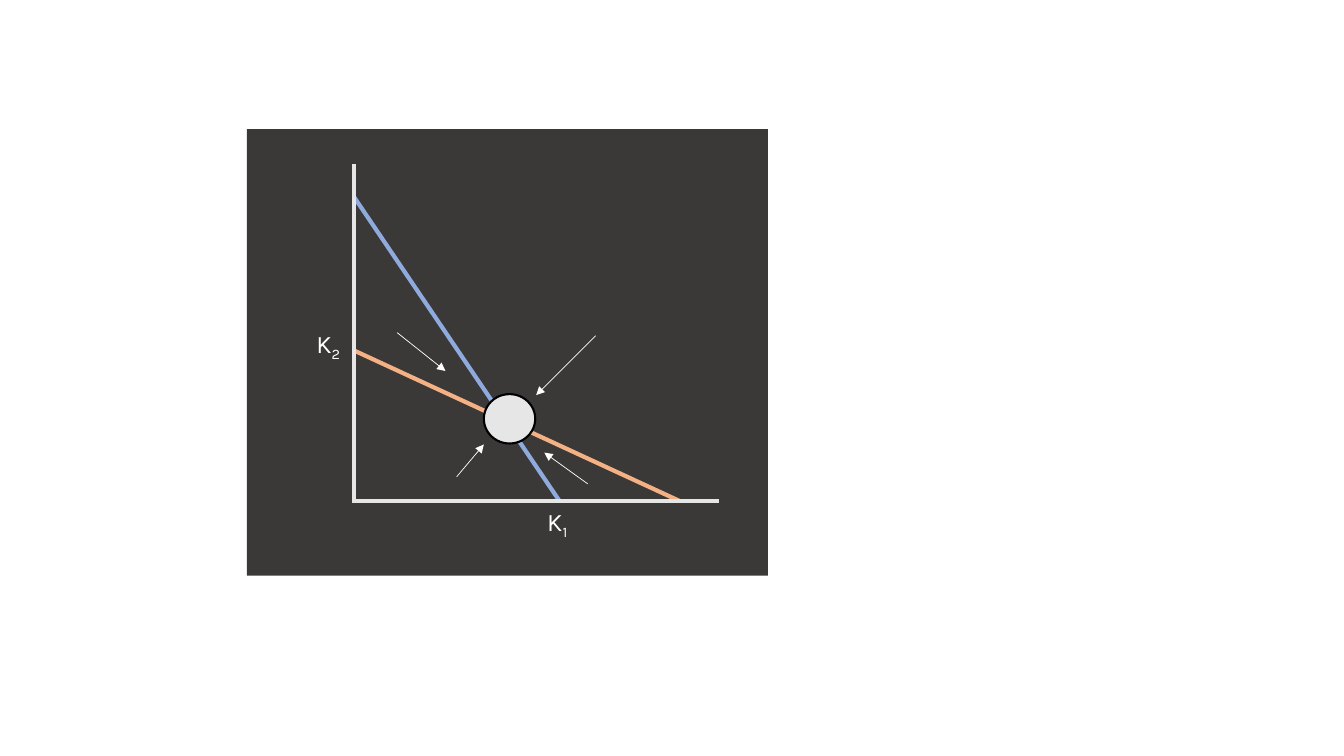
from dataclasses import dataclass

from lxml import etree
from pptx import Presentation
from pptx.dml.color import RGBColor
from pptx.enum.shapes import MSO_CONNECTOR, MSO_SHAPE
from pptx.enum.text import MSO_AUTO_SIZE
from pptx.oxml.ns import qn
from pptx.shapes.autoshape import Shape
from pptx.shapes.shapetree import GroupShapes
from pptx.util import Pt

STRAIGHT = MSO_CONNECTOR.STRAIGHT
RECTANGLE = MSO_SHAPE.RECTANGLE
OVAL = MSO_SHAPE.OVAL
FIT_TEXT = MSO_AUTO_SIZE.SHAPE_TO_FIT_TEXT


@dataclass(frozen=True)
class Theme:
    panel: str = "3B3838"
    species_1: str = "8FAADC"
    species_2: str = "F4B183"
    axis: str = "E7E6E6"
    outline: str = "000000"
    white: str = "FFFFFF"
    font: str = "Karla"
    label_size: float = 18
    thick: float = 3
    medium: float = 1.5
    thin: float = 0.5


@dataclass(frozen=True)
class Segment:
    x1: float
    y1: float
    x2: float
    y2: float
    color: str
    width: float
    arrow: bool = False


@dataclass(frozen=True)
class Label:
    left: float
    top: float
    subscript: str


THEME = Theme()
AXIS_X = 252.7
AXIS_Y = 357.8

ISOCLINES = [
    Segment(AXIS_X, 140.4, 399.6, AXIS_Y, THEME.species_1, THEME.thick),
    Segment(253.4, 250.6, 485.3, AXIS_Y, THEME.species_2, THEME.thick),
]
AXES = [
    Segment(513.4, AXIS_Y, 251.3, AXIS_Y, THEME.axis, THEME.thick),
    Segment(AXIS_X, 117.4, AXIS_X, AXIS_Y, THEME.axis, THEME.thick),
]
TRAJECTORIES = [
    Segment(*ends, THEME.white, THEME.thin, arrow=True)
    for ends in (
        (425.5, 239.8, 383, 282.2),
        (419.8, 345.6, 388.8, 323.3),
        (283.7, 237.6, 318.2, 265),
        (326.2, 340.6, 345.6, 317.5),
    )
]
CAPACITIES = [Label(383.8, AXIS_Y, "1"), Label(218.9, 231.1, "2")]


def rgb(color: str) -> RGBColor:
    return RGBColor.from_string(color)


def add_filled(shapes: GroupShapes, kind: MSO_SHAPE, left: float, top: float,
               width: float, height: float, color: str) -> Shape:
    s = shapes.add_shape(kind, Pt(left), Pt(top), Pt(width), Pt(height))
    s.shadow.inherit = False
    s.fill.solid()
    s.fill.fore_color.rgb = rgb(color)
    s.line.fill.background()
    return s


def add_segment(shapes: GroupShapes, seg: Segment) -> None:
    cx = shapes.add_connector(
        STRAIGHT, Pt(seg.x1), Pt(seg.y1), Pt(seg.x2), Pt(seg.y2))
    cx.line.color.rgb = rgb(seg.color)
    cx.line.width = Pt(seg.width)
    sp_pr = cx.element.spPr
    if seg.arrow:
        etree.SubElement(sp_pr.find(qn("a:ln")), qn("a:tailEnd"), type="triangle")
    etree.SubElement(sp_pr, qn("a:effectLst"))


def add_label(shapes: GroupShapes, label: Label) -> None:
    s = shapes.add_textbox(Pt(label.left), Pt(label.top), Pt(33.1), Pt(28.8))
    tf = s.text_frame
    tf.word_wrap = False
    tf.auto_size = FIT_TEXT
    p = tf.paragraphs[0]
    for text, baseline in (("K", 0), (label.subscript, -25000)):
        r = p.add_run()
        r.text = text
        r.font.name = THEME.font
        r.font.size = Pt(THEME.label_size)
        r.font.color.rgb = rgb(THEME.white)
        if baseline:
            r._r.get_or_add_rPr().set("baseline", str(baseline))


def main() -> None:
    prs = Presentation()
    prs.slide_width, prs.slide_height = Pt(960), Pt(540)
    slide = prs.slides.add_slide(prs.slide_layouts[6])
    shapes = slide.shapes.add_group_shape().shapes

    add_filled(shapes, RECTANGLE, 176.4, 92.2, 372.2, 319, THEME.panel)
    for seg in ISOCLINES:
        add_segment(shapes, seg)
    for label in CAPACITIES:
        add_label(shapes, label)
    equilibrium = add_filled(shapes, OVAL, 345.6, 281.5, 36.7, 35.3, THEME.axis)
    equilibrium.line.color.rgb = rgb(THEME.outline)
    equilibrium.line.width = Pt(THEME.medium)
    for seg in AXES + TRAJECTORIES:
        add_segment(shapes, seg)

    prs.save("out.pptx")


if __name__ == "__main__":
    main()
